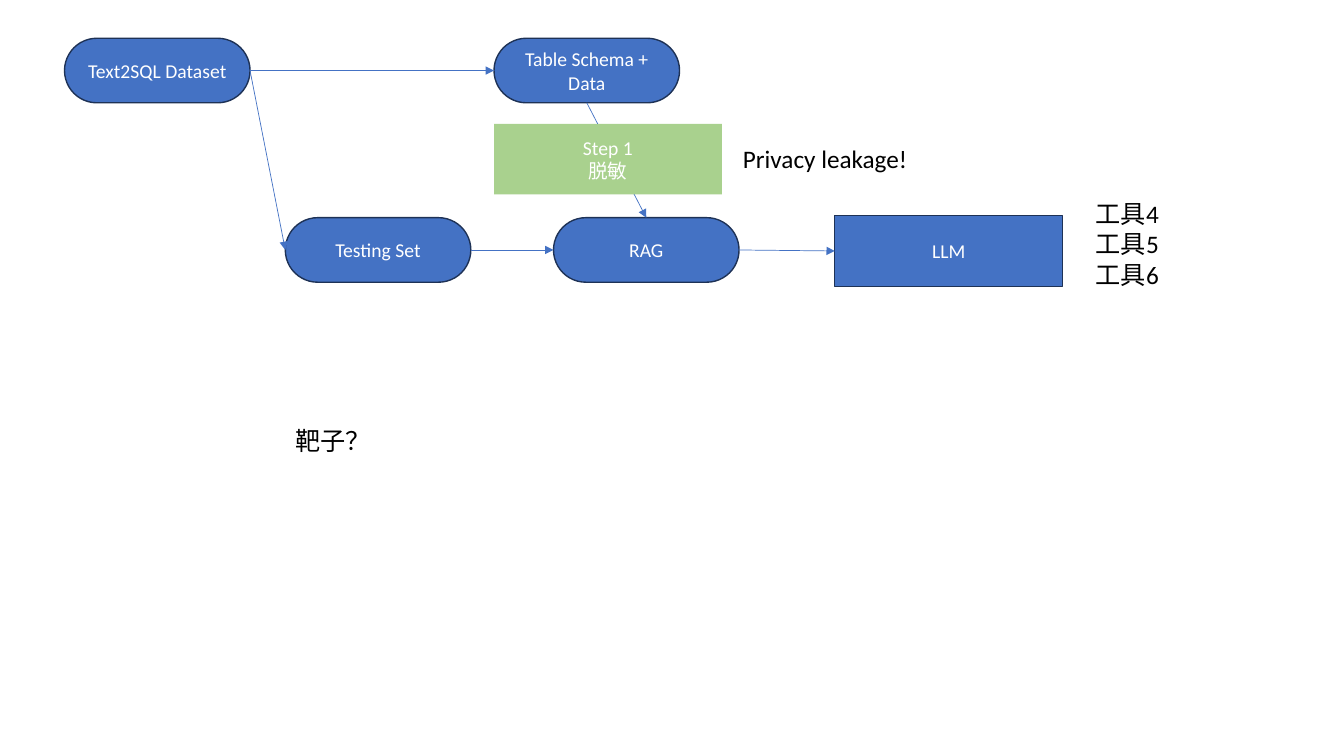
"""Draw the Text2SQL evaluation flow with its desensitisation step."""
from lxml import etree
from pptx import Presentation
from pptx.dml.color import RGBColor
from pptx.enum.shapes import MSO_CONNECTOR, MSO_SHAPE
from pptx.enum.text import MSO_ANCHOR, MSO_AUTO_SIZE, PP_ALIGN
from pptx.oxml.ns import qn
from pptx.util import Inches, Pt

BLUE = RGBColor(0x44, 0x72, 0xC4)
NAVY = RGBColor(0x1E, 0x32, 0x56)
GREEN = RGBColor(0xA9, 0xD1, 0x8E)
WHITE = RGBColor(0xFF, 0xFF, 0xFF)
BLACK = RGBColor(0, 0, 0)
FONT = "Calibri"

PILL = (1.84, 0.64)
BLOCK = (2.26, 0.7)
TOP, LEFT, BOTTOM, RIGHT = range(4)

NODES = {
    "dataset": ("Text2SQL Dataset", 0.64, 0.38, PILL),
    "llm": ("LLM", 8.28, 2.14, BLOCK),
    "testing": ("Testing Set", 2.83, 2.16, PILL),
    "schema": ("Table Schema + Data", 4.9, 0.38, PILL),
    "rag": ("RAG", 5.49, 2.16, PILL),
}
ARROWS = [
    ("dataset", RIGHT, "testing", LEFT),
    ("dataset", RIGHT, "schema", LEFT),
    ("schema", BOTTOM, "rag", TOP),
    ("testing", RIGHT, "rag", LEFT),
    ("rag", RIGHT, "llm", LEFT),
]
STEP = ("Step 1\n脱敏", 4.9, 1.23, BLOCK)
NOTES = [
    ("Privacy leakage!", 7.27, 1.37, 1.85, 0.4, False),
    ("靶子？", 2.83, 4.17, 0.96, 0.4, False),
    ("工具4\n工具5\n工具6", 10.77, 1.92, 0.83, 1.01, True),
]


def write(tf, text, size, color, align):
    tf.text = text
    for p in tf.paragraphs:
        p.alignment = align
        for r in p.runs:
            r.font.name = FONT
            r.font.size = Pt(size)
            r.font.color.rgb = color


def add_node(slide, text, x, y, size, fill, line=None):
    kind = MSO_SHAPE.ROUNDED_RECTANGLE if size == PILL else MSO_SHAPE.RECTANGLE
    sp = slide.shapes.add_shape(kind, Inches(x), Inches(y), *map(Inches, size))
    if size == PILL:
        sp.adjustments[0] = 0.5
    sp.shadow.inherit = False
    sp.fill.solid()
    sp.fill.fore_color.rgb = fill
    if line is None:
        sp.line.fill.background()
    else:
        sp.line.color.rgb = line
        sp.line.width = Pt(1)
    sp.text_frame.word_wrap = True
    sp.text_frame.vertical_anchor = MSO_ANCHOR.MIDDLE
    write(sp.text_frame, text, 14, WHITE, PP_ALIGN.CENTER)
    return sp


def add_arrow(slide, start, start_site, end, end_site):
    cxn = slide.shapes.add_connector(MSO_CONNECTOR.STRAIGHT, 0, 0, 0, 0)
    cxn.begin_connect(start, start_site)
    cxn.end_connect(end, end_site)
    cxn.line.color.rgb = BLUE
    cxn.line.width = Pt(0.5)
    etree.SubElement(cxn.line._get_or_add_ln(), qn("a:tailEnd"), type="triangle")
    etree.SubElement(cxn._element.spPr, qn("a:effectLst"))


def add_note(slide, text, x, y, w, h, wrap):
    tf = slide.shapes.add_textbox(*map(Inches, (x, y, w, h))).text_frame
    tf.word_wrap = wrap
    tf.auto_size = MSO_AUTO_SIZE.SHAPE_TO_FIT_TEXT
    write(tf, text, 18, BLACK, PP_ALIGN.LEFT)


def main():
    prs = Presentation()
    prs.slide_width, prs.slide_height = Inches(13.33), Inches(7.5)
    slide = prs.slides.add_slide(prs.slide_layouts[6])
    nodes = {key: add_node(slide, *node, BLUE, NAVY) for key, node in NODES.items()}
    for start, start_site, end, end_site in ARROWS:
        add_arrow(slide, nodes[start], start_site, nodes[end], end_site)
    add_node(slide, *STEP, GREEN)
    for note in NOTES:
        add_note(slide, *note)
    prs.save("out.pptx")


if __name__ == "__main__":
    main()
